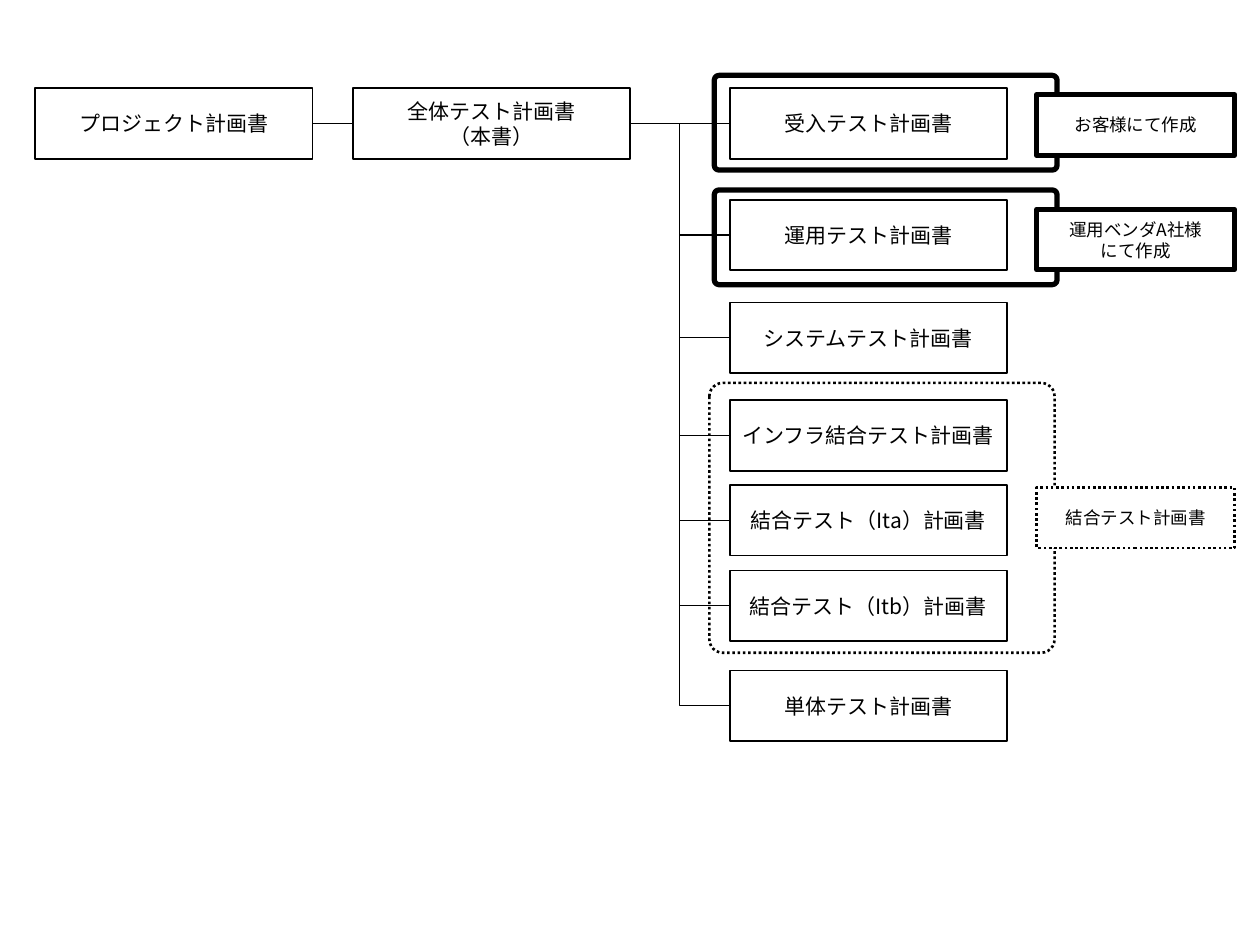
from lxml import etree
from pptx import Presentation
from pptx.dml.color import RGBColor
from pptx.enum.dml import MSO_LINE
from pptx.enum.shapes import MSO_CONNECTOR as CONN, MSO_SHAPE as SHAPE
from pptx.enum.text import MSO_ANCHOR, PP_ALIGN
from pptx.oxml.ns import qn
from pptx.util import Cm, Pt

FONT = "Noto Sans CJK JP"
BLACK, WHITE = "000000", "FFFFFF"
BOX_W, BOX_H = 5.59, 1.42
TOP_ROW, PLAN_X = 1.78, 14.71
LABEL_X, LABEL_W, LABEL_H = 20.9, 3.99, 1.22
LABEL_INSETS = {
    "margin_left": Cm(0.08), "margin_right": Cm(0.08),
    "margin_top": Cm(0.05), "margin_bottom": Cm(0.05),
}
PLANS = [
    ("受入テスト計画書", TOP_ROW),
    ("運用テスト計画書", 4.03),
    ("システムテスト計画書", 6.1),
    ("インフラ結合テスト計画書", 8.07),
    ("結合テスト（Ita）計画書", 9.78),
    ("結合テスト（Itb）計画書", 11.5),
    ("単体テスト計画書", 13.52),
]
GROUPS = [
    ((14.3, 7.72, 6.96, 5.44), "結合テスト計画書", 9.83, 1.5, MSO_LINE.ROUND_DOT),
    ((14.4, 1.52, 6.91, 1.91), "お客様にて作成", 1.91, 3, None),
    ((14.4, 3.83, 6.91, 1.91), "運用ベンダA社様\nにて作成", 4.22, 3, None),
]


def color(value):
    return RGBColor.from_string(value)


def set_attrs(obj, values):
    for name, value in values.items():
        setattr(obj, name, value)


def set_line(line, width, dash=None):
    line.color.rgb = color(BLACK)
    set_attrs(line, {"width": Pt(width), "dash_style": dash})


def add_outline(s, kind, pos, width, dash=None):
    sp = s.shapes.add_shape(kind, *[Cm(v) for v in pos])
    sp.shadow.inherit = False
    set_line(sp.line, width, dash)
    return sp


def add_box(s, text, pos, size=12, width=1, dash=None, insets=None):
    sp = add_outline(s, SHAPE.RECTANGLE, pos, width, dash)
    sp.fill.solid()
    sp.fill.fore_color.rgb = color(WHITE)
    tf = sp.text_frame
    set_attrs(tf, {"word_wrap": True, "vertical_anchor": MSO_ANCHOR.MIDDLE, **(insets or {})})
    for i, line in enumerate(text.split("\n")):
        p = tf.add_paragraph() if i else tf.paragraphs[0]
        p.alignment = PP_ALIGN.CENTER
        r = p.add_run()
        r.text = line
        set_attrs(r.font, {"size": Pt(size), "name": FONT})
        r.font.color.rgb = color(BLACK)
        etree.SubElement(r.font._element, qn("a:ea"), typeface=FONT)
    return sp


def add_frame(s, pos, width, dash):
    sp = add_outline(s, SHAPE.ROUNDED_RECTANGLE, pos, width, dash)
    sp.adjustments[0] = 0.05
    sp.fill.background()


def join(s, kind, left, right):
    cx = s.shapes.add_connector(kind, 0, 0, 0, 0)
    cx.begin_connect(left, 3)
    cx.end_connect(right, 1)
    set_line(cx.line, 0.75)
    etree.SubElement(cx._element.spPr, qn("a:effectLst"))


def main():
    prs = Presentation()
    set_attrs(prs, {"slide_width": Cm(25.4), "slide_height": Cm(19.05)})
    s = prs.slides.add_slide(prs.slide_layouts[6])

    project = add_box(s, "プロジェクト計画書", (0.71, TOP_ROW, BOX_W, BOX_H))
    overall = add_box(s, "全体テスト計画書\n（本書）", (7.11, TOP_ROW, BOX_W, BOX_H))
    join(s, CONN.STRAIGHT, project, overall)

    for text, top in PLANS:
        plan = add_box(s, text, (PLAN_X, top, BOX_W, BOX_H))
        join(s, CONN.STRAIGHT if top == TOP_ROW else CONN.ELBOW, overall, plan)

    for frame, text, top, width, dash in GROUPS:
        add_frame(s, frame, width, dash)
        add_box(s, text, (LABEL_X, top, LABEL_W, LABEL_H), 10, width, dash, LABEL_INSETS)

    prs.save("out.pptx")


if __name__ == "__main__":
    main()
